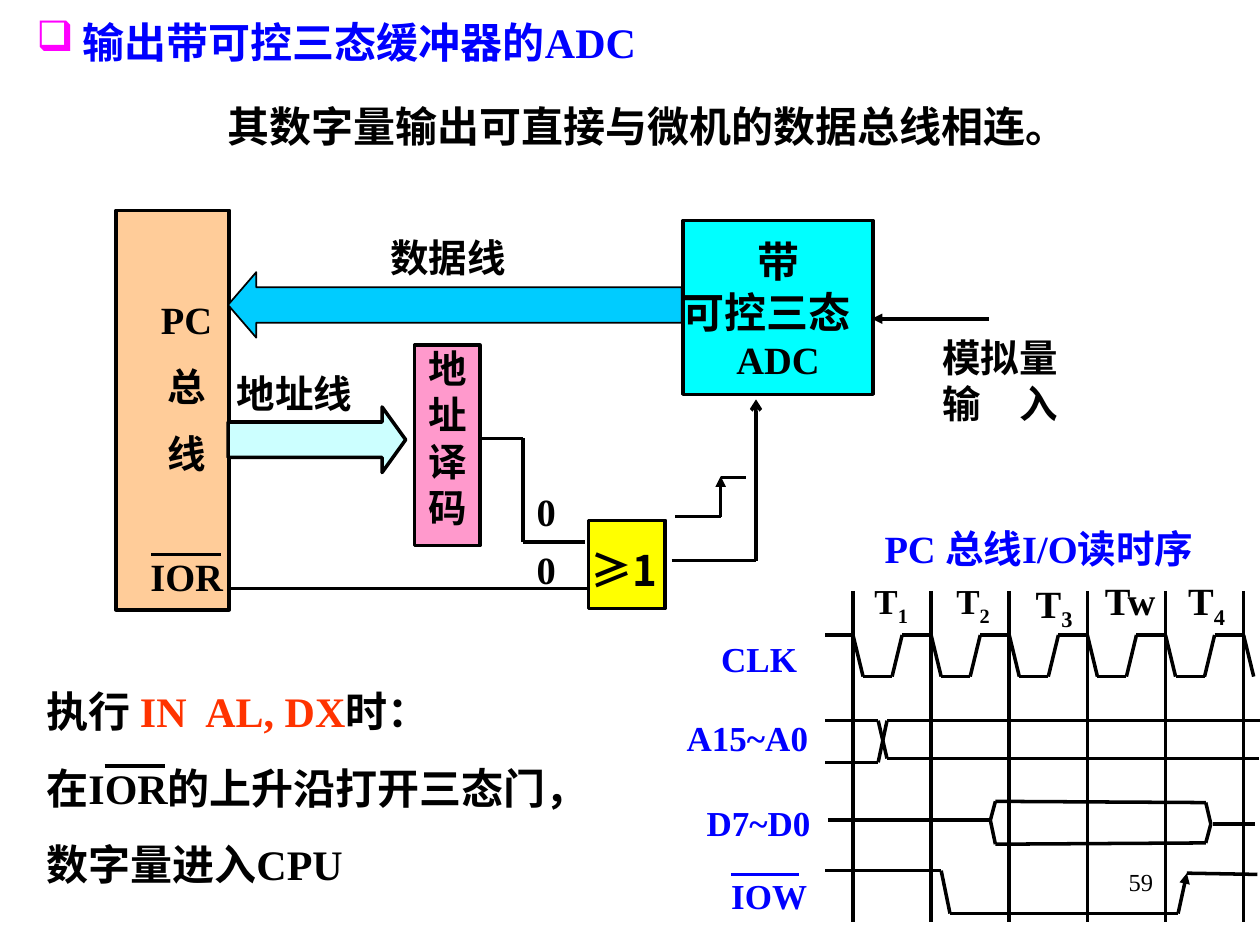
from lxml.etree import SubElement
from pptx import Presentation
from pptx.dml.color import RGBColor
from pptx.enum.shapes import MSO_CONNECTOR, MSO_SHAPE
from pptx.enum.text import MSO_ANCHOR, MSO_AUTO_SIZE, PP_ALIGN
from pptx.oxml.ns import qn
from pptx.util import Inches, Pt

COLORS = {
    "black": "000000", "blue": "0000FF", "magenta": "FF00FF", "red": "FF3300",
    "bus": "FFCC99", "adc": "00FFFF", "data": "00CCFF", "decoder": "FF99CC",
    "address": "CCFFFF", "gate": "FFFF00",
}
LATIN, CJK = "Times New Roman", "Noto Sans CJK SC"
LEFT, CENTER, RIGHT = PP_ALIGN.LEFT, PP_ALIGN.CENTER, PP_ALIGN.RIGHT

deck = Presentation()
deck.slide_width, deck.slide_height = Inches(10), Inches(7.5)
page = deck.slides.add_slide(deck.slide_layouts[6])


def write(box, lines, size=22, color="black", align=LEFT, font=LATIN, bold=True,
          margins=(0, 0, 0, 0), wrap=True, gap=0):
    """Fill a shape with lines; a line is a string or a list of (text, color) spans."""
    frame = box.text_frame
    frame.word_wrap = wrap
    if not wrap:
        frame.auto_size = MSO_AUTO_SIZE.SHAPE_TO_FIT_TEXT
    frame.vertical_anchor = MSO_ANCHOR.TOP
    (frame.margin_left, frame.margin_top,
     frame.margin_right, frame.margin_bottom) = [Inches(m) for m in margins]
    for index, line in enumerate(lines):
        para = frame.add_paragraph() if index else frame.paragraphs[0]
        para.alignment = align
        if index and gap:
            para.space_before = Pt(gap)
        for words, tint in [(line, color)] if isinstance(line, str) else line:
            span = para.add_run()
            span.text = words
            span.font.size, span.font.bold = Pt(size), bold
            span.font.color.rgb = RGBColor.from_string(COLORS[tint])
            span.font.name = font
            SubElement(span._r.get_or_add_rPr(), qn("a:ea")).set("typeface", CJK)
    return frame


def draw_path(*points, arrow=None, color="black", width=2):
    """Join successive points with straight lines; the arrowhead goes on the last."""
    for start, end in zip(points, points[1:]):
        line = page.shapes.add_connector(
            MSO_CONNECTOR.STRAIGHT, *[Inches(v) for v in (*start, *end)])
        line.line.color.rgb = RGBColor.from_string(COLORS[color])
        line.line.width = Pt(width)
        SubElement(line._element.spPr, qn("a:effectLst"))
    if arrow:
        SubElement(line.line._get_or_add_ln(), qn("a:tailEnd")).set("type", arrow)


# Blocks and bus arrows
blocks = {}
for name, kind, place, width in [
    ("bus", MSO_SHAPE.RECTANGLE, (0.92, 1.67, 0.9, 3.17), 2),
    ("adc", MSO_SHAPE.RECTANGLE, (5.42, 1.75, 1.51, 1.38), 2),
    ("data", MSO_SHAPE.RIGHT_ARROW, (1.81, 2.16, 3.6, 0.52), 1),
    ("decoder", MSO_SHAPE.RECTANGLE, (3.29, 2.74, 0.52, 1.59), 2),
    ("address", MSO_SHAPE.RIGHT_ARROW, (1.81, 3.23, 1.41, 0.52), 2),
    ("gate", MSO_SHAPE.RECTANGLE, (4.67, 4.13, 0.61, 0.7), 2),
]:
    block = page.shapes.add_shape(kind, *[Inches(v) for v in place])
    block.shadow.inherit = False
    block.fill.solid()
    block.fill.fore_color.rgb = RGBColor.from_string(COLORS[name])
    block.line.color.rgb = RGBColor.from_string(COLORS["black"])
    block.line.width = Pt(width)
    blocks[name] = block

blocks["data"].rotation = 180
for name, shaft, head in [("data", 0.54, 0.43), ("address", 0.54, 0.36)]:
    blocks[name].adjustments[0] = shaft
    blocks[name].adjustments[1] = head

adc = write(blocks["adc"], ["带", "可控三态", "ADC"], 24, align=CENTER,
            margins=(0, 0.12, 0, 0))
adc.paragraphs[1].alignment = LEFT
adc.paragraphs[2].runs[0].font.size = Pt(22)
write(blocks["decoder"], list("地址译码"), align=CENTER)

# Text
padded = {"margins": (0.1, 0.05, 0.1, 0.05)}
loose = {**padded, "wrap": False, "size": 24}
blue = {"color": "blue", "size": 20}
frames = {}
for name, place, lines, style in [
    ("title", (0.19, 0.08, 5.13, 0.5), ["输出带可控三态缓冲器的ADC"],
     {**loose, "color": "blue"}),
    ("subtitle", (1.54, 0.75, 6.86, 0.5), ["其数字量输出可直接与微机的数据总线相连。"],
     {**loose, "align": CENTER}),
    ("steps", (0.27, 5.39, 4.65, 1.72),
     [[("执行 ", "black"), ("IN  AL, DX", "red"), ("时", "black"), ("：", "black")],
      "在IOR的上升沿打开三态门，", "数字量进入CPU"], {**loose, "gap": 15}),
    ("data", (3.1, 1.86, 1.07, 0.39), ["数据线"], {}),
    ("address", (1.88, 2.94, 1.54, 0.39), ["地址线"], {}),
    ("analog", (7.48, 2.65, 1.07, 0.76), ["模拟量", "输　入"], {}),
    ("bus", (1.23, 2.35, 0.5, 1.81), ["PC", "总", "线"], {"align": CENTER, "gap": 12}),
    ("read", (1.01, 4.39, 0.76, 0.34), ["IOR"], {"align": RIGHT}),
    ("upper input", (4.26, 3.87, 0.16, 0.39), ["0"], {}),
    ("lower input", (4.26, 4.33, 0.16, 0.39), ["0"], {}),
    ("gate", (4.69, 4.08, 0.53, 0.62), ["≥1"], {"size": 24, "font": CJK}),
    ("timing", (7.02, 4.17, 2.78, 0.42), ["PC 总线I/O读时序"], {"color": "blue"}),
    ("CLK", (5.67, 5.06, 0.71, 0.41), ["CLK"], {**blue, "align": CENTER}),
    ("A15", (5.45, 5.69, 1.1, 0.32), ["A15~A0"], blue),
    ("D7", (5.51, 6.31, 1.04, 0.32), ["D7~D0"], {**blue, **padded}),
    ("IOW", (5.71, 6.94, 0.79, 0.33), ["IOW"], {**blue, "align": CENTER}),
    ("T1", (6.94, 4.6, 0.38, 0.5), [[("T", "black"), ("1", "black")]], {"size": 20}),
    ("T2", (7.59, 4.6, 0.34, 0.5), [[("T", "black"), ("2", "black")]], {"size": 20}),
    ("T3", (8.22, 4.6, 0.38, 0.5), [[("T", "black"), ("3", "black")]], {}),
    ("Tw", (8.77, 4.58, 0.43, 0.56), ["Tw"], {}),
    ("T4", (9.43, 4.58, 0.35, 0.5), [[("T", "black"), ("4", "black")]], {}),
    ("number", (7.17, 6.83, 2.08, 0.5), ["59"],
     {**padded, "size": 14, "bold": False, "align": RIGHT}),
]:
    box = page.shapes.add_textbox(*[Inches(v) for v in place])
    frames[name] = write(box, lines, **style)

for name in ("T1", "T2", "T3", "T4"):
    frames[name].paragraphs[0].runs[1].font._element.set("baseline", "-25000")
frames["gate"].paragraphs[0].line_spacing = 1.6
frames["steps"].paragraphs[0].runs[3].font.name = CJK

bullet = frames["title"].paragraphs[0]._p.get_or_add_pPr()
bullet.set("marL", str(Inches(0.37)))
bullet.set("indent", str(Inches(-0.37)))
SubElement(SubElement(bullet, qn("a:buClr")), qn("a:srgbClr")).set("val", COLORS["magenta"])
SubElement(bullet, qn("a:buChar")).set("char", "❑")

# Wiring of the block diagram
draw_path((5.33, 4.45), (6, 4.45), (6, 3.17), arrow="arrow")
draw_path((7.85, 2.53), (6.92, 2.53), arrow="triangle")
draw_path((5.36, 4.1), (5.72, 4.1), (5.72, 3.78), arrow="triangle")
draw_path((5.72, 3.79), (5.92, 3.79))
draw_path((1.81, 4.67), (4.67, 4.67))
draw_path((3.81, 3.48), (4.15, 3.48), (4.15, 4.3), (4.64, 4.3))

# Bars over the active-low signals
draw_path((1.2, 4.4), (1.75, 4.4))
draw_path((0.83, 6.08), (1.31, 6.08), width=2.25)
draw_path((5.8, 6.94), (6.34, 6.94), color="blue")

# Clock: one state per period
first, period, high, low = 6.77, 0.62, 5.04, 5.37
edges = [first + period * state for state in range(6)]
clock = [(6.55, high)]
for edge in edges:
    draw_path((edge, 4.69), (edge, 7.32))
    clock += [(edge, high), (edge + 0.08, low), (edge + 0.31, low), (edge + 0.39, high)]
draw_path(*clock[:-2])

# Address lines
draw_path((6.55, 5.72), (6.97, 5.72), (7.04, 6.02), (9.99, 6.02))
draw_path((6.55, 6.05), (6.97, 6.05), (7.04, 5.72), (10, 5.72))

# Data lines
draw_path((6.57, 6.51), (7.86, 6.51), (7.9, 6.36), (9.57, 6.37), (9.61, 6.54))
draw_path((7.86, 6.51), (7.9, 6.7), (9.57, 6.69), (9.61, 6.54))
draw_path((9.63, 6.54), (9.96, 6.54))

# Strobe
draw_path((6.55, 6.91), (7.47, 6.91), (7.54, 7.25), (9.35, 7.25), (9.42, 6.93),
          arrow="triangle")
draw_path((9.42, 6.93), (9.98, 6.94))

deck.save("out.pptx")
